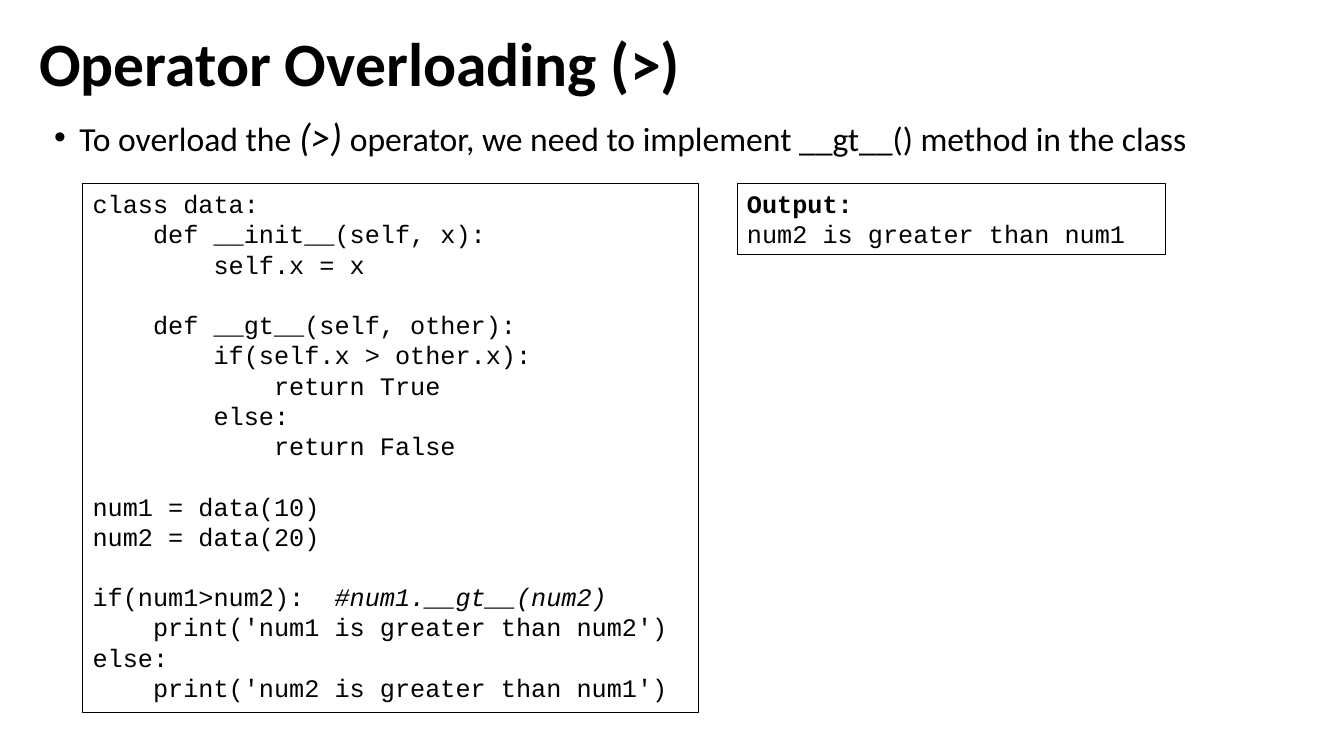
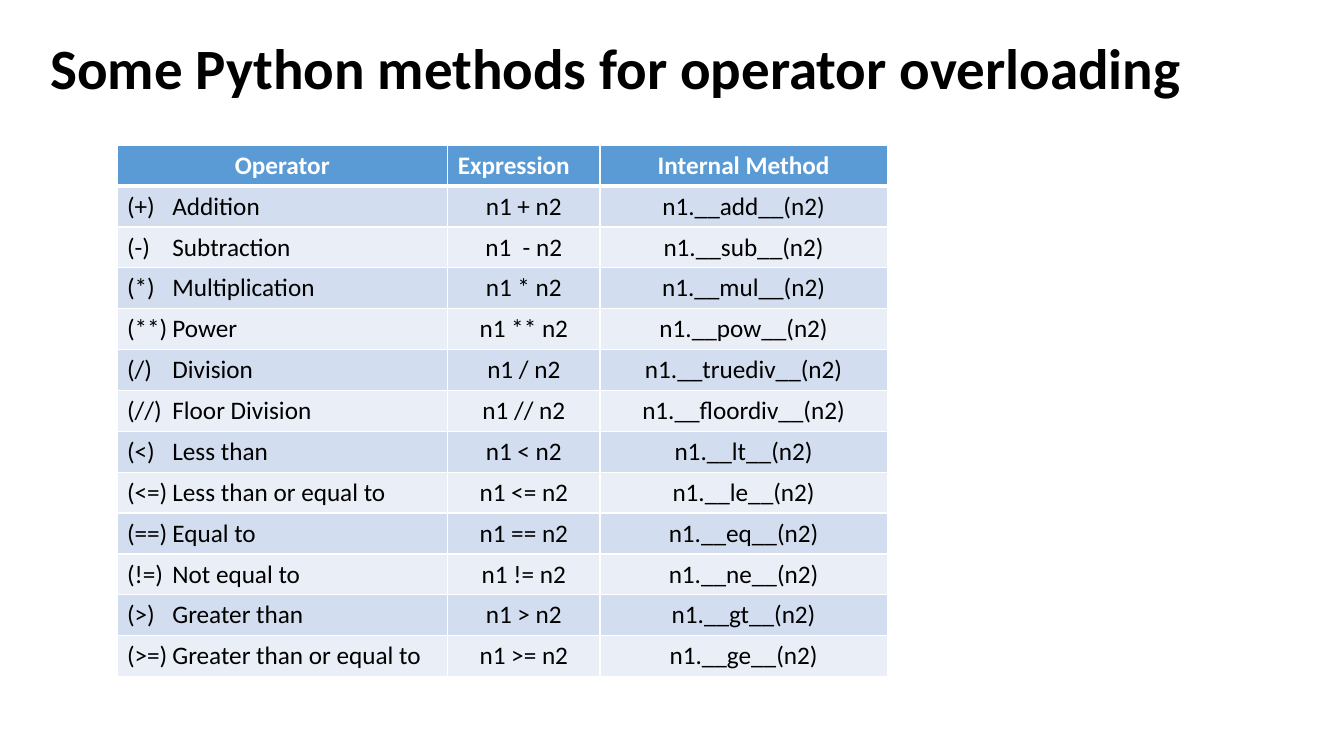
from dataclasses import dataclass, field

from lxml import etree
from pptx import Presentation
from pptx.dml.color import RGBColor
from pptx.enum.text import MSO_ANCHOR, MSO_AUTO_SIZE, PP_ALIGN
from pptx.oxml.ns import qn
from pptx.util import Emu, Inches, Pt

LEFT, CENTER = PP_ALIGN.LEFT, PP_ALIGN.CENTER
TOP, MIDDLE = MSO_ANCHOR.TOP, MSO_ANCHOR.MIDDLE
GROW = MSO_AUTO_SIZE.SHAPE_TO_FIT_TEXT

BLACK = RGBColor(0x00, 0x00, 0x00)
WHITE = RGBColor(0xFF, 0xFF, 0xFF)
HEADER_BLUE = RGBColor(0x5B, 0x9B, 0xD5)
BANDS = (RGBColor(0xD2, 0xDE, 0xEF), RGBColor(0xEA, 0xEF, 0xF7))

# Lengths on the slide are percentages of its width or height
SLIDE_WIDTH, SLIDE_HEIGHT = Inches(13.33), Inches(7.5)
BLANK_LAYOUT = 6

# Text styles
TITLE = {"name": "Calibri", "size": Pt(44), "bold": True}
LONG_TITLE = TITLE | {"size": Pt(40.7)}
BODY = {"name": "Calibri", "size": Pt(24)}
BODY_OPERATOR = BODY | {"size": Pt(28), "italic": True}
CODE = {"name": "Courier New", "size": Pt(18)}
CODE_COMMENT = CODE | {"italic": True}
CODE_LABEL = CODE | {"bold": True}
CELL = {"name": "Calibri", "size": Pt(18)}

TIGHT = {"line_spacing": 0.9}
CODE_LINE_HEIGHT = Pt(21.6)
CODE_CHAR_WIDTH = Pt(10.8)
BULLET_INDENT = Inches(0.25)
OPERATOR_TAB = Inches(0.45)


@dataclass(frozen=True)
class Box:
    left: float
    top: float
    width: float
    height: float

    def emu(self) -> tuple[Emu, Emu, Emu, Emu]:
        return across(self.left), down(self.top), across(self.width), down(self.height)


@dataclass(frozen=True)
class Line:
    runs: list[tuple[str, dict]]
    layout: dict = field(default_factory=dict)
    indent: int = 0
    bullet: str = ""


@dataclass(frozen=True)
class Column:
    heading: str
    width: float
    heading_align: PP_ALIGN
    align: PP_ALIGN


@dataclass(frozen=True)
class Operator:
    symbol: str
    meaning: str
    expression: str
    method: str

    def cells(self) -> tuple[str, str, str]:
        return f"({self.symbol})\t{self.meaning}", self.expression, f"n1.__{self.method}__(n2)"


def across(percent: float) -> Emu:
    return Emu(round(SLIDE_WIDTH * percent / 100))


def down(percent: float) -> Emu:
    return Emu(round(SLIDE_HEIGHT * percent / 100))


def apply(target, values: dict) -> None:
    for name, value in values.items():
        setattr(target, name, value)


def add_run(paragraph, text: str, style: dict, color: RGBColor = BLACK) -> None:
    run = paragraph.add_run()
    run.text = text
    apply(run.font, style)
    run.font.color.rgb = color


def add_text(slide, box: Box, lines: list[Line], framed: bool = False) -> None:
    shape = slide.shapes.add_textbox(*box.emu())
    frame = shape.text_frame
    frame.word_wrap = True
    if framed:
        frame.auto_size = GROW
        shape.line.color.rgb = BLACK
        shape.line.width = Pt(0.75)
    for number, line in enumerate(lines):
        paragraph = frame.add_paragraph() if number else frame.paragraphs[0]
        apply(paragraph, line.layout)
        for text, style in line.runs:
            add_run(paragraph, text, style)
        properties = paragraph._p.get_or_add_pPr()
        if line.indent:
            properties.set("marL", str(line.indent))
        if line.bullet:
            properties.set("indent", str(-line.indent))
            etree.SubElement(properties, qn("a:buFont"), typeface="Arial")
            etree.SubElement(properties, qn("a:buChar"), char=line.bullet)


def add_title(slide, box: Box, text: str, style: dict) -> None:
    add_text(slide, box, [Line([(text, style)], TIGHT)])


def code_lines(source: str) -> list[Line]:
    """Turn leading spaces into indents and empty rows into spacing."""
    lines, gap = [], 0
    for row in source.strip().splitlines():
        statement = row.lstrip()
        if not statement:
            gap = CODE_LINE_HEIGHT
            continue
        code, mark, comment = statement.partition("#")
        runs = [(code, CODE)] + ([(mark + comment, CODE_COMMENT)] if mark else [])
        indent = (len(row) - len(statement)) * CODE_CHAR_WIDTH
        lines.append(Line(runs, {"space_before": Pt(0) + gap}, indent))
        gap = 0
    return lines


def set_borders(cell, widths: dict[str, float]) -> None:
    properties = cell._tc.get_or_add_tcPr()
    for position, (side, width) in enumerate(widths.items()):
        border = etree.Element(qn(f"a:ln{side}"), w=str(Pt(width)))
        fill = etree.SubElement(border, qn("a:solidFill"))
        etree.SubElement(fill, qn("a:srgbClr"), val=str(WHITE))
        properties.insert(position, border)


def add_operator_table(slide, left: float, top: float, row_height: float,
                       columns: list[Column], operators: list[Operator]) -> None:
    rows = [tuple(column.heading for column in columns)]
    rows += [operator.cells() for operator in operators]
    box = Box(left, top, sum(column.width for column in columns), row_height * len(rows))
    table = slide.shapes.add_table(len(rows), len(columns), *box.emu()).table
    apply(table, {"first_row": False, "horz_banding": False})
    for column, grid_column in zip(columns, table.columns):
        grid_column.width = across(column.width)
    for r, texts in enumerate(rows):
        heading = r == 0
        table.rows[r].height = down(row_height)
        for c, (text, column) in enumerate(zip(texts, columns)):
            cell = table.cell(r, c)
            cell.vertical_anchor = TOP if heading else MIDDLE
            cell.fill.solid()
            cell.fill.fore_color.rgb = HEADER_BLUE if heading else BANDS[(r - 1) % 2]
            set_borders(cell, {"L": 1, "R": 1, "T": 3 if r == 1 else 1, "B": 3 if heading else 1})
            paragraph = cell.text_frame.paragraphs[0]
            paragraph.alignment = column.heading_align if heading else column.align
            add_run(paragraph, text, CELL | {"bold": heading}, WHITE if heading else BLACK)
            if "\t" in text:
                stops = etree.SubElement(paragraph._p.get_or_add_pPr(), qn("a:tabLst"))
                etree.SubElement(stops, qn("a:tab"), pos=str(OPERATOR_TAB), algn="l")


GREATER_THAN_CODE = """
class data:
    def __init__(self, x):
        self.x = x

    def __gt__(self, other):
        if(self.x > other.x):
            return True
        else:
            return False

num1 = data(10)
num2 = data(20)

if(num1>num2):  #num1.__gt__(num2)
    print('num1 is greater than num2')
else:
    print('num2 is greater than num1')
"""

COLUMNS = [
    Column("Operator", 24.61, CENTER, LEFT),
    Column("Expression", 11.33, LEFT, CENTER),
    Column("Internal Method", 21.38, CENTER, CENTER),
]

OPERATORS = [
    Operator("+", "Addition", "n1 + n2", "add"),
    Operator("-", "Subtraction", "n1  - n2", "sub"),
    Operator("*", "Multiplication", "n1 * n2", "mul"),
    Operator("**", "Power", "n1 ** n2", "pow"),
    Operator("/", "Division", "n1 / n2", "truediv"),
    Operator("//", "Floor Division", "n1 // n2", "floordiv"),
    Operator("<", "Less than", "n1 < n2", "lt"),
    Operator("<=", "Less than or equal to", "n1 <= n2", "le"),
    Operator("==", "Equal to", "n1 == n2", "eq"),
    Operator("!=", "Not equal to", "n1 != n2", "ne"),
    Operator(">", "Greater than", "n1 > n2", "gt"),
    Operator(">=", "Greater than or equal to", "n1 >= n2", "ge"),
]

presentation = Presentation()
apply(presentation, {"slide_width": SLIDE_WIDTH, "slide_height": SLIDE_HEIGHT})
blank = presentation.slide_layouts[BLANK_LAYOUT]

# Slide 1: overloading the greater-than operator
example = presentation.slides.add_slide(blank)
add_text(example, Box(6.15, 24.27, 45.84, 70), code_lines(GREATER_THAN_CODE), framed=True)
add_text(example, Box(54.84, 24.27, 31.88, 9.47), [
    Line([("Output:", CODE_LABEL)]),
    Line([("num2 is greater than num1", CODE)]),
], framed=True)
add_title(example, Box(2.18, 3.73, 86.27, 15.87), "Operator Overloading (>)", TITLE)
add_text(example, Box(3.3, 14.93, 90.62, 63.47), [
    Line([
        ("To overload the ", BODY),
        ("(>)", BODY_OPERATOR),
        (" operator, we need to implement __gt__() method in the class", BODY),
    ], TIGHT | {"space_before": Pt(10)}, BULLET_INDENT, "•"),
])

# Slide 2: operators and their methods
overview = presentation.slides.add_slide(blank)
add_title(overview, Box(3, 4.67, 91.37, 15.87),
          "Some Python methods for operator overloading", LONG_TITLE)
add_operator_table(overview, 8.7, 19.2, 5.41, COLUMNS, OPERATORS)

presentation.save("out.pptx")
